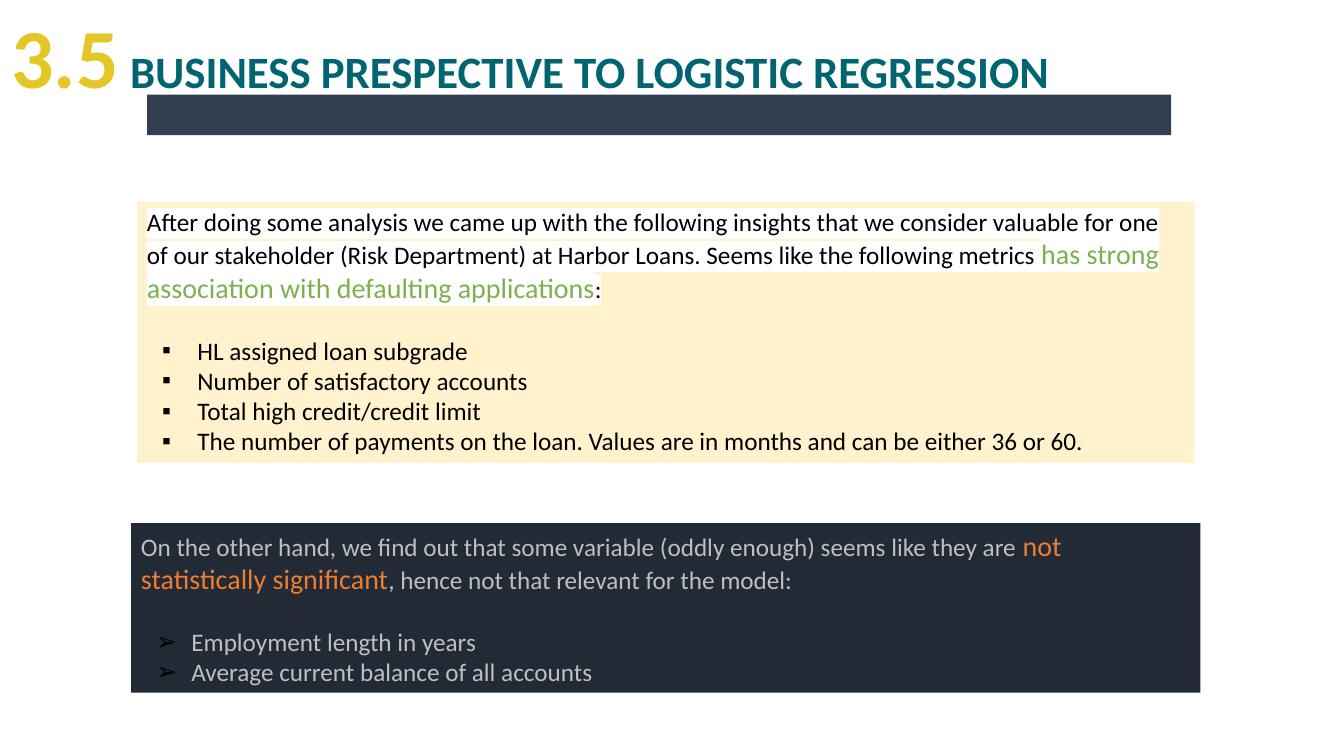
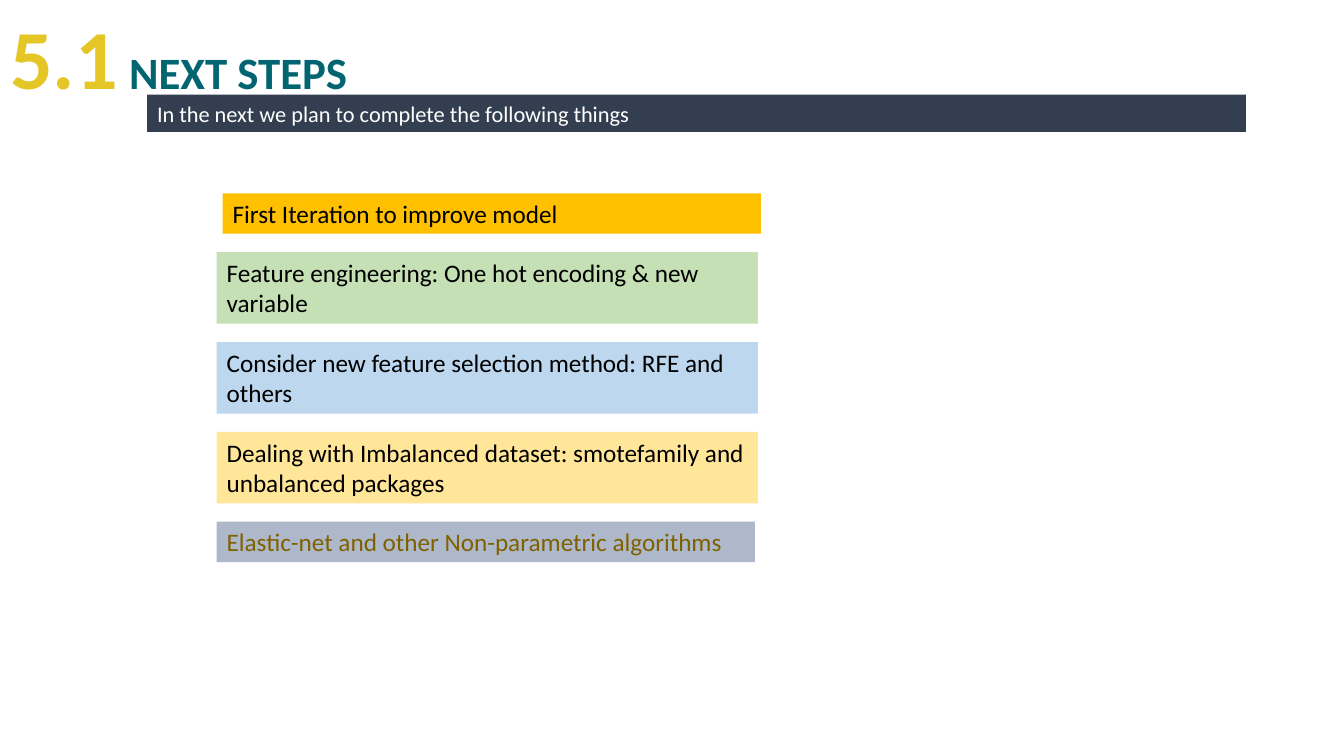
from dataclasses import dataclass
from typing import NamedTuple

from lxml.etree import SubElement as Sub, Element
from pptx import Presentation as Deck
from pptx.dml.color import RGBColor as Rgb
from pptx.enum.shapes import MSO_SHAPE as Form
from pptx.enum.text import MSO_ANCHOR as Anchor, MSO_AUTO_SIZE as Fit, PP_ALIGN as Align
from pptx.oxml.ns import qn
from pptx.util import Pt

FONT = "Calibri"
WHITE = Rgb(0xFF, 0xFF, 0xFF)
BLACK = Rgb(0, 0, 0)
GOLD = Rgb(0xE4, 0xC6, 0x27)
TEAL = Rgb(0x00, 0x65, 0x70)
SLATE = Rgb(0x33, 0x3F, 0x50)
NIGHT = Rgb(0x22, 0x2A, 0x35)
SILVER = Rgb(0xBF, 0xBF, 0xBF)
ORANGE = Rgb(0xED, 0x7D, 0x31)
GREEN = Rgb(0x7E, 0xB0, 0x50)
CREAM = Rgb(0xFF, 0xF2, 0xCC)
AMBER = Rgb(0xFF, 0xC0, 0x00)
MINT = Rgb(0xC5, 0xE0, 0xB4)
SKY = Rgb(0xBD, 0xD7, 0xEE)
SAND = Rgb(0xFF, 0xE6, 0x99)
STEEL = Rgb(0xAD, 0xB9, 0xCA)
BROWN = Rgb(0x80, 0x60, 0x00)


class Box(NamedTuple):
    left: float
    top: float
    width: float
    height: float


@dataclass
class Run:
    text: str
    size: float = 18
    color: Rgb = BLACK
    bold: bool = False
    mark: Rgb | None = None


@dataclass
class Para:
    runs: list[Run]
    bullet: str = ""
    before: float = 0


@dataclass
class Step:
    lines: list[str]
    fill: Rgb
    height: float = 51.1
    width: float = 386.6
    shift: float = 0
    color: Rgb = BLACK


def add_run(para, run: Run) -> None:
    part = para.add_run()
    part.text = run.text
    font = part.font
    font.name, font.size, font.bold = FONT, Pt(run.size), run.bold
    font.color.rgb = run.color
    if run.mark is not None:
        mark = Element(qn("a:highlight"))
        Sub(mark, qn("a:srgbClr"), val=str(run.mark))
        font._element.find(qn("a:solidFill")).addnext(mark)


def add_bullet(para, sign: str) -> None:
    props = para._p.get_or_add_pPr()
    props.set("marL", str(Pt(36)))
    props.set("indent", str(Pt(-25.2)))
    Sub(Sub(props, qn("a:buClr")), qn("a:srgbClr"), val=str(BLACK))
    Sub(props, qn("a:buFont"), typeface="Arial")
    Sub(props, qn("a:buChar"), char=sign)


def set_text(shape, paras: list[Para]) -> None:
    frame = shape.text_frame
    frame.word_wrap = True
    frame.auto_size = Fit.NONE
    frame.vertical_anchor = Anchor.TOP
    frame.margin_left = frame.margin_right = Pt(7.2)
    frame.margin_top = frame.margin_bottom = Pt(3.6)
    for index, item in enumerate(paras):
        para = frame.add_paragraph() if index else frame.paragraphs[0]
        if item.bullet:
            add_bullet(para, item.bullet)
        para.alignment = Align.LEFT
        if item.before:
            para.space_before = Pt(item.before)
        for run in item.runs:
            add_run(para, run)


def add_panel(slide, box: Box, fill: Rgb, paras: list[Para]) -> None:
    shape = slide.shapes.add_shape(Form.RECTANGLE, *map(Pt, box))
    shape.shadow.inherit = False
    shape.fill.solid()
    shape.fill.fore_color.rgb = fill
    shape.line.fill.background()
    set_text(shape, paras)


def add_slide(deck, code: str, name: str, box: Box, band: Box, note: str = ""):
    """Start a slide with its numbered title and dark band."""
    slide = deck.slides.add_slide(deck.slide_layouts[5])
    title = slide.shapes.title
    title.left, title.top, title.width, title.height = map(Pt, box)
    title.fill.solid()
    title.fill.fore_color.rgb = WHITE
    set_text(title, [Para([
        Run(code, 60, GOLD, True),
        Run(" ", 36, TEAL, True),
        Run(name, 32, TEAL, True),
    ])])
    add_panel(slide, band, SLATE, [Para([Run(note, 16, WHITE)])] if note else [])
    return slide


def make_list(items: list[str], sign: str, color: Rgb) -> list[Para]:
    """Bullets, set one line below the text before them."""
    return [Para([Run(item, color=color)], sign, 0 if index else 22)
            for index, item in enumerate(items)]


def draw_views(deck) -> None:
    slide = add_slide(deck, "3.5", "BUSINESS PRESPECTIVE TO LOGISTIC REGRESSION",
                      Box(0.7, -0.7, 928.8, 80), Box(105.1, 67.7, 731.5, 28.8))

    # Weak factors
    add_panel(slide, Box(93.6, 373.7, 763.9, 121), NIGHT, [
        Para([
            Run("On the other hand, we find out that some variable (oddly enough) "
                "seems like they are ", color=SILVER),
            Run("not statistically significant", 20, ORANGE),
            Run(", hence not that relevant for the model:", color=SILVER),
        ]),
        *make_list(["Employment length in years",
                    "Average current balance of all accounts"], "➢", SILVER),
    ])

    # Strong factors
    add_panel(slide, Box(97.9, 144, 755.3, 186.5), CREAM, [
        Para([
            Run("After doing some analysis we came up with the following insights that "
                "we consider valuable for one of our stakeholder (Risk Department) at "
                "Harbor Loans. Seems like the following metrics ", mark=WHITE),
            Run("has strong association with defaulting applications", 20, GREEN,
                mark=WHITE),
            Run(":", mark=WHITE),
        ]),
        *make_list(["HL assigned loan subgrade",
                    "Number of satisfactory accounts",
                    "Total high credit/credit limit",
                    "The number of payments on the loan. Values are in months "
                    "and can be either 36 or 60."], "▪", BLACK),
    ])


def draw_steps(deck) -> None:
    slide = add_slide(deck, "5.1", "NEXT STEPS", Box(0, 0, 583.2, 80),
                      Box(105.1, 67.7, 784.8, 26.6),
                      "In the next we plan to complete the following things")
    steps = [
        Step(["First Iteration to improve model"], AMBER, 28.8, 384.5, 4.3),
        Step(["Feature engineering: One hot encoding & new variable"], MINT),
        Step(["Consider new feature selection method: RFE and", "others"], SKY),
        Step(["Dealing with Imbalanced dataset: smotefamily and unbalanced packages"],
             SAND),
        Step(["Elastic-net and other Non-parametric algorithms"], STEEL, 28.8, 384.5,
             color=BROWN),
    ]

    # Stack with equal gaps
    left, top, gap = 154.8, 138.2, 13.1
    for step in steps:
        add_panel(slide, Box(left + step.shift, top, step.width, step.height), step.fill,
                  [Para([Run(line, color=step.color)]) for line in step.lines])
        top += step.height + gap


def main() -> None:
    deck = Deck()
    deck.slide_width, deck.slide_height = Pt(960), Pt(540)
    draw_views(deck)
    draw_steps(deck)
    deck.save("out.pptx")


if __name__ == "__main__":
    main()
